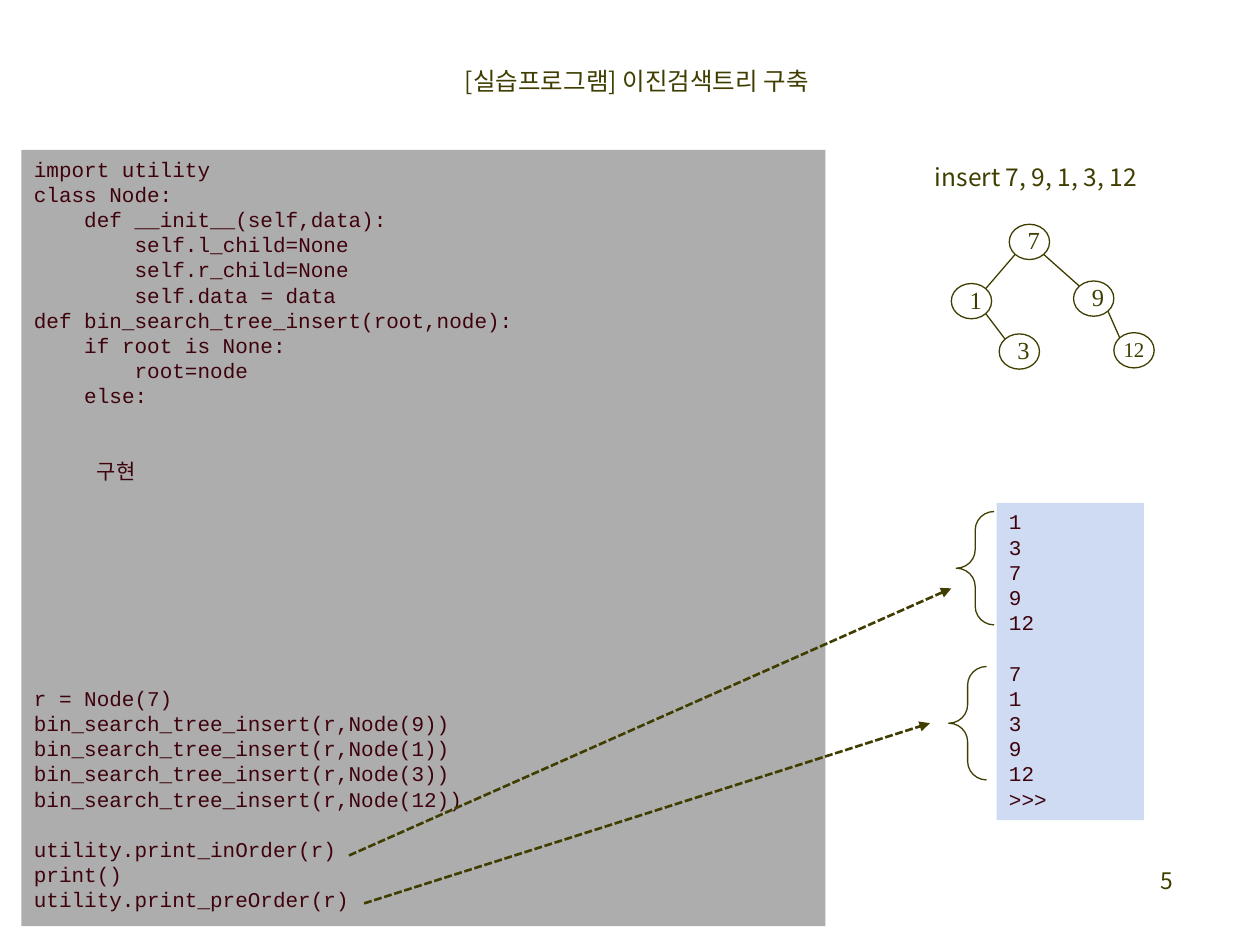
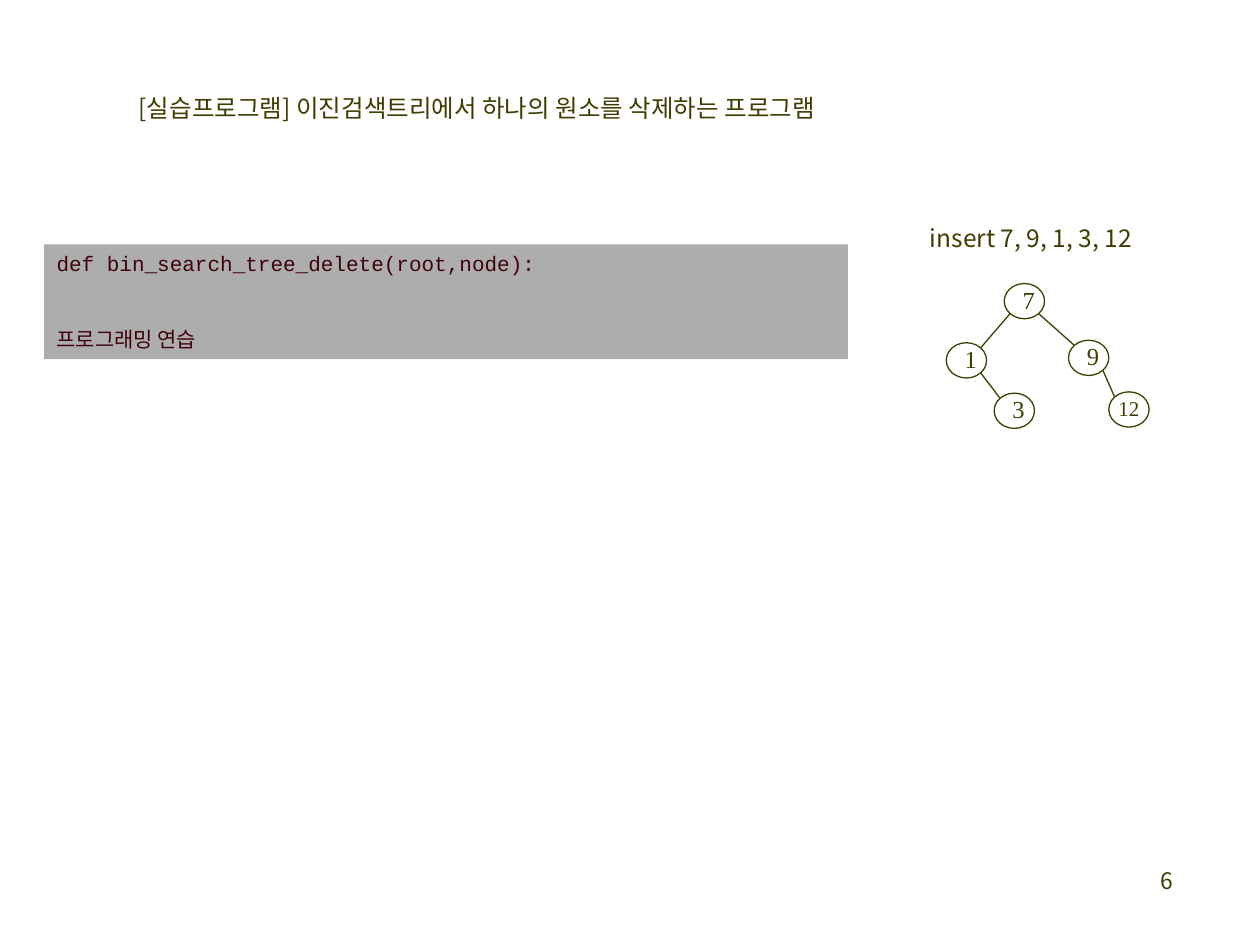
from lxml import etree
from pptx import Presentation
from pptx.dml.color import RGBColor
from pptx.enum import dml, shapes, text
from pptx.oxml.ns import qn
from pptx.util import Inches, Pt

COLORS = {
    "olive": "3F3E00",
    "maroon": "3E020C",
    "code": "ADADAD",
    "output": "CFDBF3",
}
HEADING_FONT = "Noto Sans CJK KR"
CODE_FONT = "Courier New"
NODE_FONT = "Times New Roman"

CODE_PITCH = 14.4  # points from one code line to the next
CODE_CHAR = 0.1    # inches per code character
NODE_WIDTH, NODE_HEIGHT = 0.32, 0.28
DIAGONAL = 0.146   # share of an ellipse's box cut off at its 45 degree points

TREE_NODES = {"7": (0.46, 0), "9": (0.97, 0.45), "1": (0, 0.47),
              "3": (0.38, 0.87), "12": (1.29, 0.86)}
TREE_EDGES = [("7", "1"), ("7", "9"), ("1", "3"), ("9", "12")]

INSERT_CODE = """import utility
class Node:
    def __init__(self,data):
        self.l_child=None
        self.r_child=None
        self.data = data
def bin_search_tree_insert(root,node):
    if root is None:
        root=node
    else:


     구현








r = Node(7)
bin_search_tree_insert(r,Node(9))
bin_search_tree_insert(r,Node(1))
bin_search_tree_insert(r,Node(3))
bin_search_tree_insert(r,Node(12))

utility.print_inOrder(r)
print()
utility.print_preOrder(r)"""

DELETE_CODE = """def bin_search_tree_delete(root,node):


프로그래밍 연습"""

PROGRAM_OUTPUT = """1
3
7
9
12

7
1
3
9
12
>>>"""


def rgb(color):
    return RGBColor.from_string(COLORS[color])


def box(left, top, width, height):
    return [Inches(value) for value in (left, top, width, height)]


def style(paragraph, size, font, color="olive"):
    paragraph.font.size = Pt(size)
    paragraph.font.name = font
    paragraph.font.color.rgb = rgb(color)
    properties = paragraph.font.fill._xPr
    etree.SubElement(properties, qn("a:ea")).set("typeface", HEADING_FONT)


def set_heading(frame, words):
    """Write one unwrapped line at the top left of the frame."""
    frame.word_wrap = False
    frame.auto_size = text.MSO_AUTO_SIZE.NONE
    frame.vertical_anchor = text.MSO_ANCHOR.TOP
    frame.margin_left = frame.margin_right = Inches(0.04)
    frame.margin_top = frame.margin_bottom = Inches(0.04)
    line = frame.paragraphs[0]
    line.text = words
    line.alignment = text.PP_ALIGN.LEFT
    line.line_spacing = Pt(26)
    style(line, 14, HEADING_FONT)


def add_titled_slide(prs, title, number, left, top, width):
    slide = prs.slides.add_slide(prs.slide_layouts[5])
    heading = slide.shapes.title
    heading.left, heading.top, heading.width, heading.height = box(left, top, width, 0.4)
    set_heading(heading.text_frame, title)

    footer = slide.shapes.add_textbox(*box(7.33, 6.83, 2.08, 0.5)).text_frame
    footer.word_wrap = True
    page = footer.paragraphs[0]
    page.text = str(number)
    page.alignment = text.PP_ALIGN.RIGHT
    style(page, 13, HEADING_FONT)
    return slide


def add_outline(slide, preset, place):
    shape = slide.shapes.add_shape(preset, *place)
    shape.shadow.inherit = False
    shape.fill.background()
    shape.line.color.rgb = rgb("olive")
    shape.line.width = Pt(0.75)
    return shape


def add_listing(slide, listing, fill, place):
    """Indents become paragraph margins and empty lines become space before."""
    panel = slide.shapes.add_shape(shapes.MSO_SHAPE.RECTANGLE, *place)
    panel.shadow.inherit = False
    panel.fill.solid()
    panel.fill.fore_color.rgb = rgb(fill)
    panel.line.fill.background()
    frame = panel.text_frame
    frame.word_wrap = True
    frame.vertical_anchor = text.MSO_ANCHOR.TOP

    skipped = 0
    paragraph = None
    for row in listing.split("\n"):
        if not row:
            skipped += 1
            continue
        paragraph = frame.add_paragraph() if paragraph else frame.paragraphs[0]
        code = row.lstrip()
        paragraph.text = code
        paragraph.alignment = text.PP_ALIGN.LEFT
        paragraph.line_spacing = Pt(CODE_PITCH)
        paragraph.space_before = Pt(CODE_PITCH * skipped)
        style(paragraph, 12, CODE_FONT, "maroon")
        indent = Inches(CODE_CHAR * (len(row) - len(code)))
        paragraph._p.get_or_add_pPr().set("marL", str(indent))
        skipped = 0


def add_line(slide, start, end, width=0.75):
    line = slide.shapes.add_connector(
        shapes.MSO_CONNECTOR.STRAIGHT, *box(*start, *end))
    line.line.color.rgb = rgb("olive")
    line.line.width = Pt(width)
    etree.SubElement(line._element.spPr, qn("a:effectLst"))
    return line


def add_dashed_arrow(slide, start, end):
    arrow = add_line(slide, start, end, 1.5)
    arrow.line.dash_style = dml.MSO_LINE.SQUARE_DOT
    outline = arrow.line._get_or_add_ln()
    etree.SubElement(outline, qn("a:tailEnd")).set("type", "triangle")


def add_node(slide, key, left, top):
    node = add_outline(slide, shapes.MSO_SHAPE.OVAL,
                       box(left, top, NODE_WIDTH, NODE_HEIGHT))
    frame = node.text_frame
    frame.word_wrap = True
    frame.vertical_anchor = text.MSO_ANCHOR.MIDDLE
    two_digits = len(key) > 1
    if two_digits:
        frame.margin_left = frame.margin_right = 0
    label = frame.paragraphs[0]
    label.text = key
    label.alignment = text.PP_ALIGN.CENTER
    label.line_spacing = 0.9
    style(label, 12 if two_digits else 14, NODE_FONT)


def add_tree(slide, left, top):
    places = {key: (left + x, top + y) for key, (x, y) in TREE_NODES.items()}
    for key, place in places.items():
        add_node(slide, key, *place)
    for parent, child in TREE_EDGES:
        (parent_x, parent_y), (child_x, child_y) = places[parent], places[child]
        near, far = DIAGONAL, 1 - DIAGONAL
        leave, arrive = (near, far) if child_x < parent_x else (far, near)
        add_line(slide,
                 (parent_x + NODE_WIDTH * leave, parent_y + NODE_HEIGHT * far),
                 (child_x + NODE_WIDTH * arrive, child_y + NODE_HEIGHT * near))


def add_tree_example(slide, caption_place, tree_place):
    caption = slide.shapes.add_textbox(*box(*caption_place, 1.75, 0.44))
    set_heading(caption.text_frame, "insert 7, 9, 1, 3, 12")
    add_tree(slide, *tree_place)


def add_brace(slide, left, top):
    brace = add_outline(slide, shapes.MSO_SHAPE.LEFT_BRACE, box(left, top, 0.3, 0.9))
    brace.adjustments[0] = 0.49


def build_insert_slide(prs):
    slide = add_titled_slide(prs, "[실습프로그램] 이진검색트리 구축", 5, 3.65, 0.36, 3.08)
    add_listing(slide, INSERT_CODE, "code", box(0.17, 1.19, 6.38, 6.16))
    add_tree_example(slide, (7.38, 1.12), (7.55, 1.78))
    add_listing(slide, PROGRAM_OUTPUT, "output", box(7.91, 3.99, 1.17, 2.52))
    add_brace(slide, 7.59, 4.06)
    add_brace(slide, 7.53, 5.29)
    add_dashed_arrow(slide, (2.77, 6.79), (7.55, 4.67))
    add_dashed_arrow(slide, (2.89, 7.17), (7.38, 5.74))


def build_delete_slide(prs):
    slide = add_titled_slide(
        prs, "[실습프로그램] 이진검색트리에서 하나의 원소를 삭제하는 프로그램",
        6, 1.06, 0.57, 6.04)
    add_listing(slide, DELETE_CODE, "code", box(0.35, 1.94, 6.38, 0.91))
    add_tree_example(slide, (7.34, 1.6), (7.51, 2.25))


def main():
    prs = Presentation()
    prs.slide_width, prs.slide_height = Inches(10), Inches(7.5)
    build_insert_slide(prs)
    build_delete_slide(prs)
    prs.save("out.pptx")


if __name__ == "__main__":
    main()
